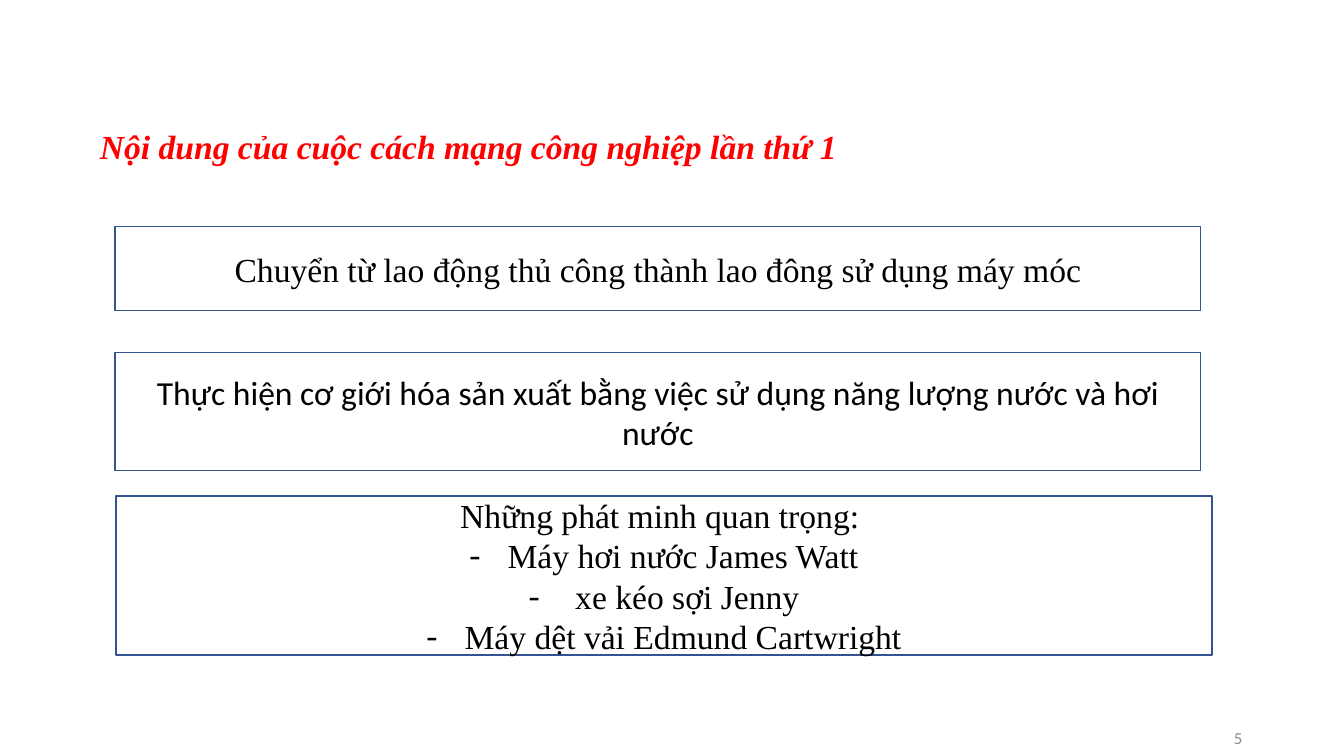
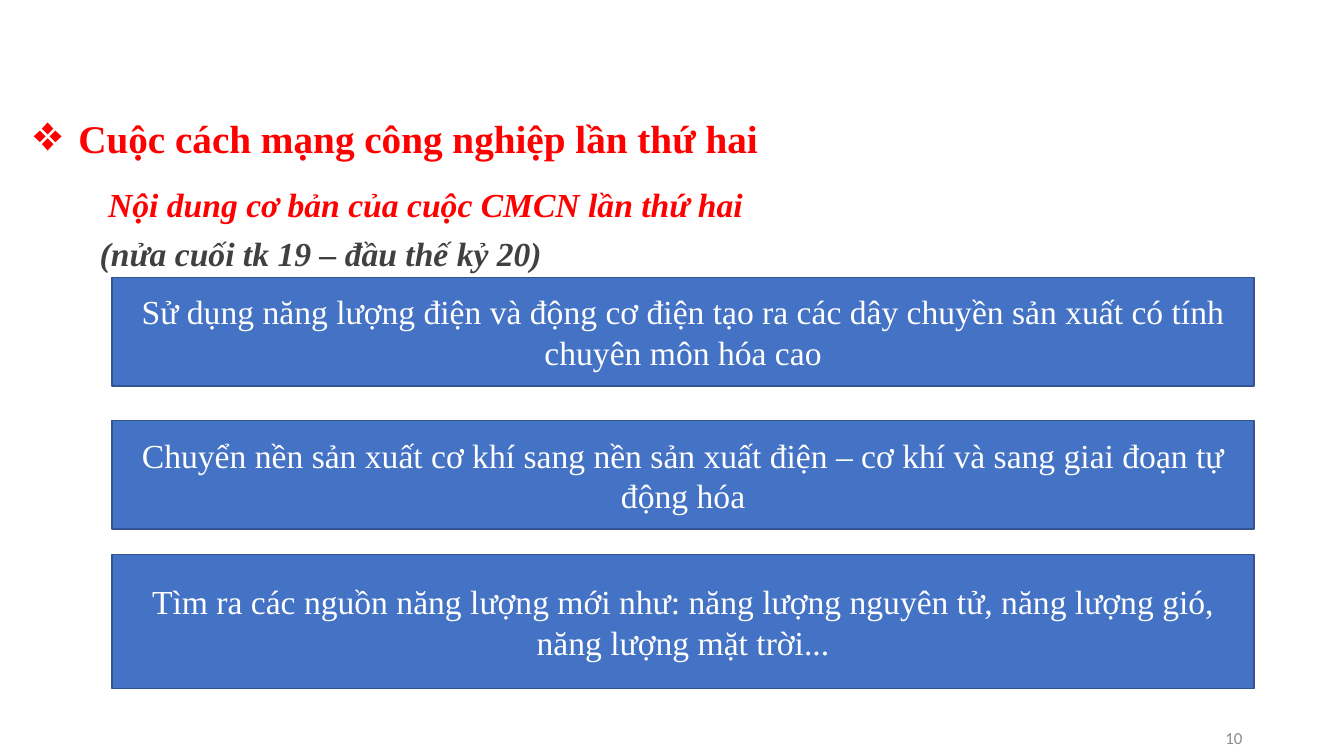
from lxml import etree
from pptx import Presentation
from pptx import util as u
from pptx.dml.color import RGBColor
from pptx.enum import shapes, text
from pptx.oxml.ns import qn

SERIF, SANS = "Times New Roman", "Calibri"
RED, WHITE, BLACK, BLUE, EDGE = "FF0000", "FFFFFF", "000000", "4472C4", "325491"
GREY, DARK = "8C8C8C", "404040"
LEFT, RIGHT = text.PP_ALIGN.LEFT, text.PP_ALIGN.RIGHT
CENTER, JUSTIFY = text.PP_ALIGN.CENTER, text.PP_ALIGN.JUSTIFY
TOP, MIDDLE = text.MSO_ANCHOR.TOP, text.MSO_ANCHOR.MIDDLE


def color(value):
    return RGBColor.from_string(value)


def write(box, lines, anchor, align, ink, bullet_indent=0, space=0, **formats):
    """Fill a box; each line is its wording, an optional bullet and an optional colour."""
    frame = box.text_frame
    frame.word_wrap = True
    frame.auto_size = text.MSO_AUTO_SIZE.NONE
    frame.vertical_anchor = anchor
    for index, (wording, bullet, line_ink) in enumerate(lines):
        para = frame.add_paragraph() if index else frame.paragraphs[0]
        para.alignment = align
        para.line_spacing = 1.0
        para.space_before = u.Pt(space if index else 0)
        if bullet:
            properties = para._p.get_or_add_pPr()
            properties.set("marL", str(u.Inches(bullet_indent)))
            properties.set("indent", str(-u.Inches(bullet_indent)))
            etree.SubElement(properties, qn("a:buFont"), typeface=SERIF)
            etree.SubElement(properties, qn("a:buChar"), char=bullet)
        span = para.add_run()
        span.text = wording
        settings = {"name": SERIF, "size": u.Pt(24), "bold": False, "italic": False} | formats
        for name, value in settings.items():
            setattr(span.font, name, value)
        span.font.color.rgb = color(line_ink or ink)


deck = Presentation()
deck.slide_width, deck.slide_height = u.Inches(13.33), u.Inches(7.5)

pages = [
    {
        "number": "5",
        "title": ("Nội dung của cuộc cách mạng công nghiệp lần thứ 1", None, None),
        "title at": (0.89, 1.2, 10.37, 0.92),
        "title format": {"align": JUSTIFY, "italic": True},
        "subtitle": [],
        "fill": WHITE,
        "ink": BLACK,
        "boxes": [
            ((1.14, 2.25, 10.77, 0.83), SERIF,
             [("Chuyển từ lao động thủ công thành lao đông sử dụng máy móc", None, None)]),
            ((1.14, 3.5, 10.77, 1.17), SANS,
             [("Thực hiện cơ giới hóa sản xuất bằng việc sử dụng năng lượng nước và hơi nước",
               None, None)]),
            ((1.15, 4.92, 10.87, 1.58), SERIF,
             [("Những phát minh quan trọng: ", None, None),
              ("Máy hơi nước James Watt", "-", None),
              (" xe kéo sợi Jenny", "-", None),
              ("Máy dệt vải Edmund Cartwright", "-", None)]),
        ],
    },
    {
        "number": "10",
        "title": (" Cuộc cách mạng công nghiệp lần thứ hai", "❖", None),
        "title at": (0.22, 1.08, 12.89, 0.57),
        "title format": {"align": LEFT, "size": u.Pt(28), "bullet_indent": 0.36},
        "subtitle": [(" Nội dung cơ bản của cuộc CMCN lần thứ hai", None, None),
                     ("(nửa cuối tk 19 – đầu thế kỷ 20)", None, DARK)],
        "fill": BLUE,
        "ink": WHITE,
        "boxes": [
            ((1.11, 2.75, 11.33, 1.08), SERIF,
             [("Sử dụng năng lượng điện và động cơ điện tạo ra các dây chuyền sản xuất có tính "
               "chuyên môn hóa cao", None, None)]),
            ((1.11, 4.17, 11.33, 1.08), SERIF,
             [("Chuyển nền sản xuất cơ khí sang nền sản xuất điện – cơ khí và sang giai đoạn tự "
               "động hóa", None, None)]),
            ((1.11, 5.5, 11.33, 1.33), SERIF,
             [("Tìm ra các nguồn năng lượng mới như: năng lượng nguyên tử, năng lượng gió, "
               "năng lượng mặt trời...", None, None)]),
        ],
    },
]

for content in pages:
    page = deck.slides.add_slide(deck.slide_layouts[5])

    # Title
    title = page.shapes.title
    title.left, title.top, title.width, title.height = map(u.Inches, content["title at"])
    write(title, [content["title"]], TOP, ink=RED, bold=True, **content["title format"])

    # Subtitle
    if content["subtitle"]:
        subtitle = page.shapes.add_textbox(*map(u.Inches, (0.89, 1.78, 11.11, 1)))
        write(subtitle, content["subtitle"], TOP, JUSTIFY, RED, space=6, bold=True, italic=True)

    # Statement boxes
    for place, font, lines in content["boxes"]:
        box = page.shapes.add_shape(shapes.MSO_SHAPE.RECTANGLE, *map(u.Inches, place))
        box.shadow.inherit = False
        box.fill.solid()
        box.fill.fore_color.rgb = color(content["fill"])
        box.line.color.rgb = color(EDGE)
        box.line.width = u.Pt(1)
        write(box, lines, MIDDLE, CENTER, content["ink"], bullet_indent=0.38, name=font)

    # Page number
    number = page.shapes.add_textbox(*map(u.Inches, (9.42, 7.14, 3, 0.36)))
    write(number, [(content["number"], None, None)], MIDDLE, RIGHT, GREY,
          name=SANS, size=u.Pt(12))

deck.save("out.pptx")
